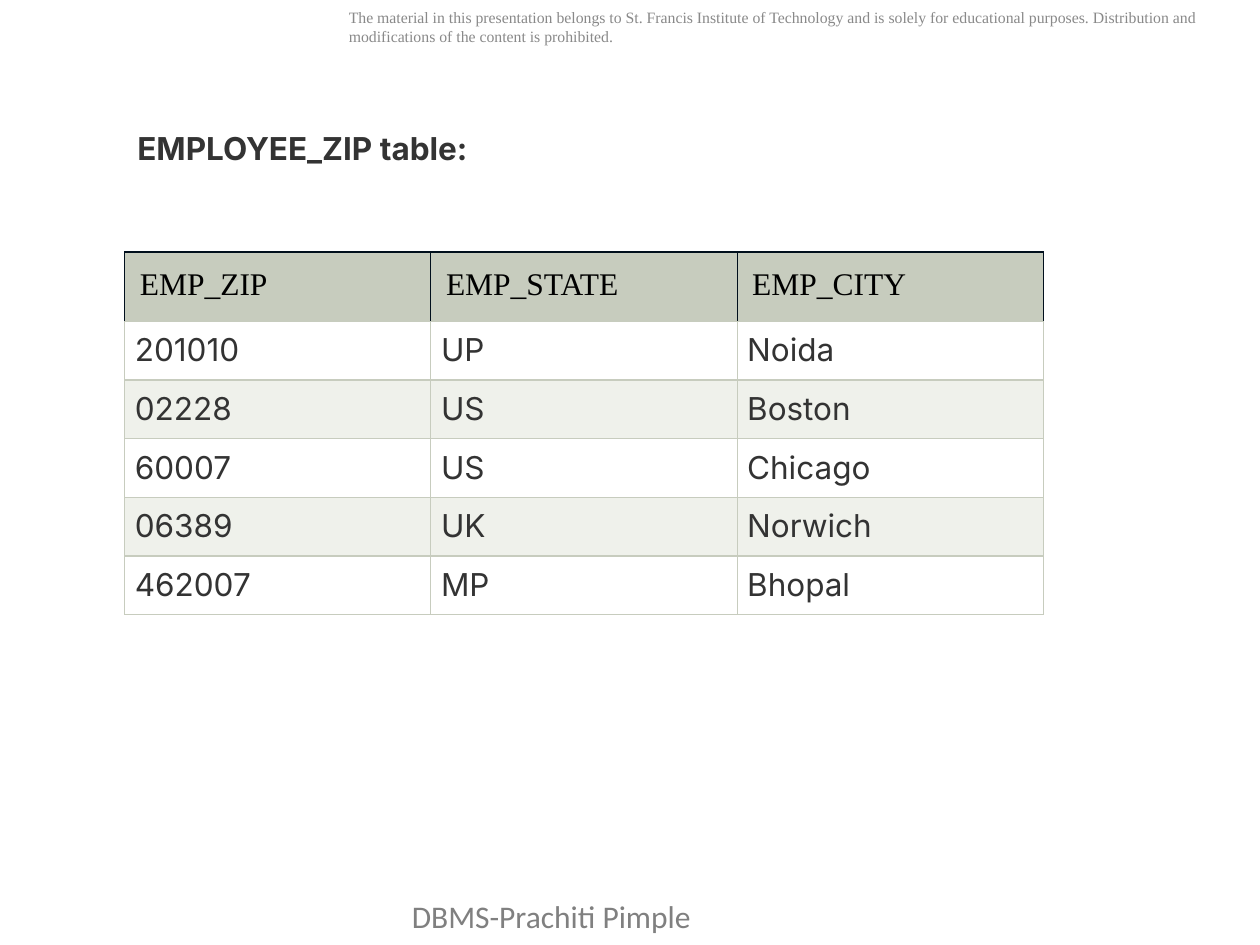
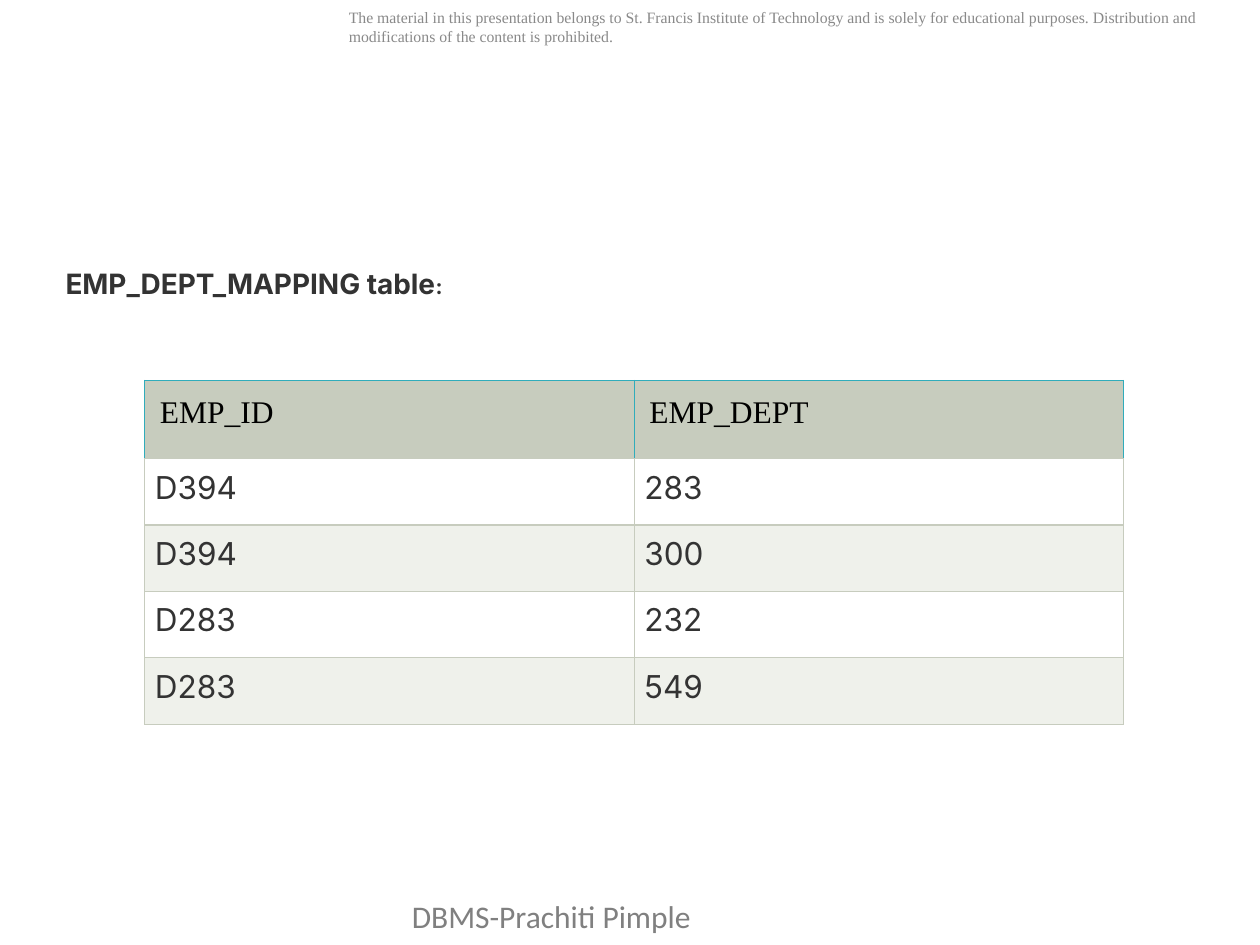
from dataclasses import dataclass

from lxml.etree import SubElement
from pptx import Presentation
from pptx.dml.color import RGBColor
from pptx.enum.text import MSO_ANCHOR, MSO_AUTO_SIZE, PP_ALIGN
from pptx.oxml.ns import qn
from pptx.util import Inches, Pt


@dataclass(frozen=True)
class Theme:
    """Colours, fonts and type sizes shared by the slides."""

    white: str = "FFFFFF"
    ink: str = "333333"
    black: str = "000000"
    notice_grey: str = "898989"
    footer_grey: str = "808080"
    header_fill: str = "C7CCBE"
    band_fill: str = "EFF1EB"
    navy: str = "000F1C"
    teal: str = "30ACBB"
    body_font: str = "Inter"
    header_font: str = "Times New Roman"
    footer_font: str = "Calibri"
    table_size: float = 18
    notice_size: float = 9
    footer_size: float = 18
    border_width: float = 0.75


THEME = Theme()
NOTICE = (
    "The material in this presentation belongs to St. Francis Institute of "
    "Technology and is solely for educational purposes. Distribution and "
    "modifications of the content is prohibited."
)
FOOTER = "DBMS-Prachiti Pimple"


def style(font, name, size, color, bold=False):
    """Set the face, size, colour and weight of a font."""
    font.name, font.size, font.bold = name, Pt(size), bold
    font.color.rgb = RGBColor.from_string(color)


def place(shape, left, top, width, height):
    """Move and size a shape, in inches."""
    shape.left, shape.top = Inches(left), Inches(top)
    shape.width, shape.height = Inches(width), Inches(height)


def add_label(slide, text, box, name, size, color):
    """Add a wrapped line of small print."""
    label = slide.shapes.add_textbox(*map(Inches, box)).text_frame
    label.word_wrap = True
    label.text = text
    style(label.paragraphs[0].font, name, size, color)


def add_base_slide(deck):
    """Add a title-only slide with the shared notice and footer."""
    slide = deck.slides.add_slide(deck.slide_layouts[5])
    add_label(slide, NOTICE, (2.67, 0.01, 7.33, 0.71),
              THEME.header_font, THEME.notice_size, THEME.notice_grey)
    add_label(slide, FOOTER, (3.17, 7.07, 4.08, 0.4),
              THEME.footer_font, THEME.footer_size, THEME.footer_grey)
    return slide


def set_title(slide, parts, box):
    """Fill the title from (text, size) parts and place it."""
    title = slide.shapes.title
    place(title, *box)
    title.fill.solid()
    title.fill.fore_color.rgb = RGBColor.from_string(THEME.white)
    frame = title.text_frame
    frame.word_wrap = True
    frame.auto_size = MSO_AUTO_SIZE.NONE
    frame.vertical_anchor = MSO_ANCHOR.MIDDLE
    heading = frame.paragraphs[0]
    heading.alignment = PP_ALIGN.LEFT
    for text, size in parts:
        run = heading.add_run()
        run.text = text
        style(run.font, THEME.body_font, size, THEME.ink, bold=True)


def set_borders(cell, side_color, bottom_color):
    """Draw the four borders of a cell."""
    properties = cell._tc.get_or_add_tcPr()
    colors = {"a:lnL": side_color, "a:lnR": side_color,
              "a:lnT": side_color, "a:lnB": bottom_color}
    for position, (tag, color) in enumerate(colors.items()):
        line = SubElement(properties, qn(tag), w=str(Pt(THEME.border_width)))
        SubElement(SubElement(line, qn("a:solidFill")), qn("a:srgbClr"), val=color)
        properties.insert(position, line)


def fill_cell(cell, text, is_header, fill, border):
    """Write and format one table cell."""
    cell.text = text
    cell.margin_left = cell.margin_right = Inches(0.12 if is_header else 0.08)
    cell.margin_top = cell.margin_bottom = cell.margin_left
    cell.fill.solid()
    cell.fill.fore_color.rgb = RGBColor.from_string(fill)
    set_borders(cell, border, THEME.header_fill)
    entry = cell.text_frame.paragraphs[0]
    if is_header:
        style(entry.font, THEME.header_font, THEME.table_size, THEME.black)
    else:
        entry.alignment = PP_ALIGN.JUSTIFY
        style(entry.font, THEME.body_font, THEME.table_size, THEME.ink)


def add_relation(slide, records, box, header_height, header_border):
    """Add a banded table whose first record is the header."""
    height = box[3]
    table = slide.shapes.add_table(
        len(records), len(records[0]), *map(Inches, box)).table
    record_height = (height - header_height) / (len(records) - 1)
    for index, record in enumerate(records):
        is_header = index == 0
        table.rows[index].height = Inches(header_height if is_header else record_height)
        if is_header:
            fill, border = THEME.header_fill, header_border
        else:
            fill = THEME.white if index % 2 else THEME.band_fill
            border = THEME.header_fill
        for column, value in enumerate(record):
            fill_cell(table.cell(index, column), value, is_header, fill, border)


def add_zip_slide(deck):
    """Build the EMPLOYEE_ZIP slide."""
    slide = add_base_slide(deck)
    set_title(slide, [("EMPLOYEE_ZIP table:", 18)], (0.99, 0.67, 2.88, 1.01))
    records = [
        ("EMP_ZIP", "EMP_STATE", "EMP_CITY"),
        ("201010", "UP", "Noida"),
        ("02228", "US", "Boston"),
        ("60007", "US", "Chicago"),
        ("06389", "UK", "Norwich"),
        ("462007", "MP", "Bhopal"),
    ]
    add_relation(slide, records, (0.99, 2, 7.29, 2.88), 0.55, THEME.navy)


def add_department_slide(deck):
    """Build the EMP_DEPT_MAPPING slide."""
    slide = add_base_slide(deck)
    set_title(slide, [("EMP_DEPT_MAPPING table", 16), (":", 12)],
              (0.42, 2.06, 7.42, 0.37))
    records = [
        ("EMP_ID", "EMP_DEPT"),
        ("D394", "283"),
        ("D394", "300"),
        ("D283", "232"),
        ("D283", "549"),
    ]
    add_relation(slide, records, (1.15, 3.02, 7.77, 2.73), 0.62, THEME.teal)


def main():
    """Build and save the deck."""
    deck = Presentation()
    deck.slide_width, deck.slide_height = Inches(10), Inches(7.5)
    add_zip_slide(deck)
    add_department_slide(deck)
    deck.save("out.pptx")


if __name__ == "__main__":
    main()
